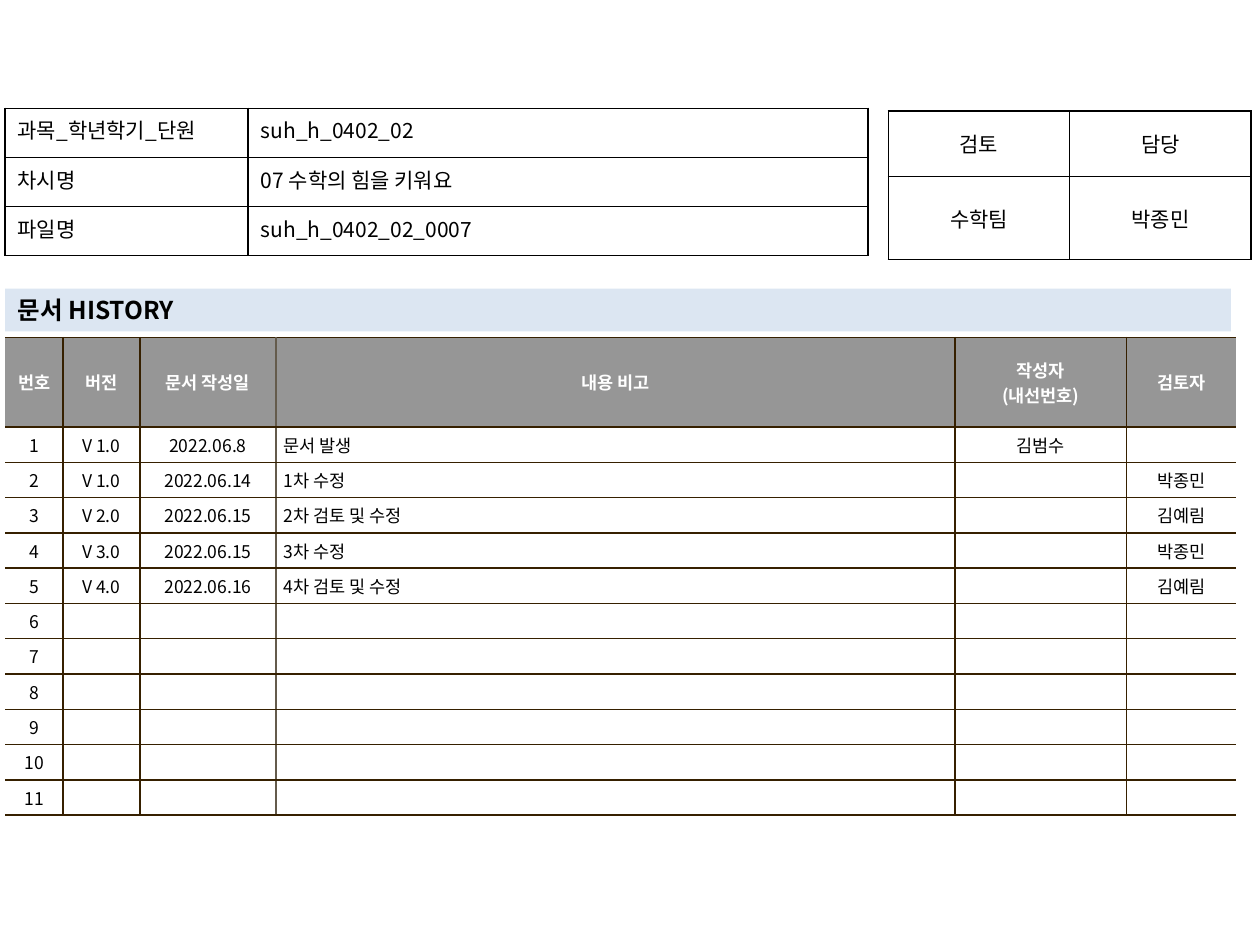
import pptx
import pptx.util
import pptx.dml.color
import pptx.enum.text
from lxml import etree

FONT = "Noto Sans CJK KR"
BLACK, WHITE, GRAY, BLUE = "000000", "FFFFFF", "969696", "DCE6F2"
BROWN, TAUPE = "362000", "645B4C"
SEAM = 3
EDGE = 0.04
ALIGN = pptx.enum.text.PP_ALIGN
MIDDLE = pptx.enum.text.MSO_ANCHOR.MIDDLE
TOP = pptx.enum.text.MSO_ANCHOR.TOP
Inches = pptx.util.Inches

TITLE = "문서 HISTORY"
INFO = [
    ("과목_학년학기_단원", "suh_h_0402_02"),
    ("차시명", "07 수학의 힘을 키워요"),
    ("파일명", "suh_h_0402_02_0007"),
]
TEAM = [("검토", "담당"), ("수학팀", "박종민")]
HEAD = ("번호", "버전", "문서 작성일", "내용 비고", "작성자\n(내선번호)", "검토자")
EDITS = [
    ("V 1.0", "2022.06.8", "문서 발생", "김범수", ""),
    ("V 1.0", "2022.06.14", "1차 수정", "", "박종민"),
    ("V 2.0", "2022.06.15", "2차 검토 및 수정", "", "김예림"),
    ("V 3.0", "2022.06.15", "3차 수정", "", "박종민"),
    ("V 4.0", "2022.06.16", "4차 검토 및 수정", "", "김예림"),
]
COUNT = 11
BLANK = [("",) * 5] * (COUNT - len(EDITS))
LOG = [HEAD] + [(str(n), *row) for n, row in enumerate(EDITS + BLANK, 1)]


def color(code):
    return pptx.dml.color.RGBColor.from_string(code)


def add(parent, tag, **attrs):
    return etree.SubElement(parent, pptx.oxml.ns.qn(tag), **attrs)


def style(frame, size, tone=BLACK, bold=False, align=ALIGN.LEFT):
    for para in frame.paragraphs:
        para.alignment = align
        for run in para.runs:
            font = run.font
            font.name, font.size, font.bold = FONT, pptx.util.Pt(size), bold
            font.color.rgb = color(tone)
            add(font._element, "a:ea", typeface=FONT)
        if not para.runs:
            add(para._p, "a:endParaRPr", sz=str(size * 100))


def border(cell, tones):
    props = cell._tc.get_or_add_tcPr()
    for i, (side, tone) in enumerate(zip("LRTB", tones)):
        line = add(props, f"a:ln{side}", w="12700")
        if tone:
            add(add(line, "a:solidFill"), "a:srgbClr", val=tone)
        else:
            add(line, "a:noFill")
        props.insert(i, line)


def grid(slide, left, top, cols, rows, data, pad):
    frame = slide.shapes.add_table(
        len(rows), len(cols), Inches(left), Inches(top),
        Inches(sum(cols)), Inches(sum(rows)))
    table = frame.table
    table.first_row = table.horz_banding = False
    for col, width in zip(table.columns, cols):
        col.width = Inches(width)
    for r, (row, height) in enumerate(zip(table.rows, rows)):
        row.height = Inches(height)
        for c, cell in enumerate(row.cells):
            cell.margin_left = cell.margin_right = Inches(pad[0])
            cell.margin_top = cell.margin_bottom = Inches(pad[1])
            cell.text_frame.text = data[r][c]
            yield r, c, cell


def form(slide, left, top, cols, rows, data, anchor, aligns):
    for r, c, cell in grid(slide, left, top, cols, rows, data, (0.1, 0.05)):
        cell.vertical_anchor = anchor
        style(cell.text_frame, 12, align=aligns[c])
        cell.fill.background()
        border(cell, [BLACK] * 4)


def history(slide):
    cols = [0.46, 0.61, 1.08, 5.39, 1.36, 0.87]
    rows = [0.71] + [0.25] * COUNT
    walls = [BROWN] * (len(cols) + 1)
    walls[0] = walls[-1] = None
    walls[SEAM] = TAUPE
    for r, c, cell in grid(slide, EDGE, 2.68, cols, rows, LOG, (0.06, 0.04)):
        head = r == 0
        note = c == SEAM and not head
        cell.vertical_anchor = MIDDLE
        style(cell.text_frame, 10, WHITE if head else BLACK, head,
              ALIGN.LEFT if note else ALIGN.CENTER)
        cell.fill.solid()
        cell.fill.fore_color.rgb = color(GRAY if head else WHITE)
        border(cell, (walls[c], walls[c + 1], BROWN, BROWN))


def banner(slide):
    title = slide.shapes.title
    title.left, title.top = Inches(EDGE), Inches(2.29)
    title.width, title.height = Inches(9.73), Inches(0.34)
    title.fill.solid()
    title.fill.fore_color.rgb = color(BLUE)
    frame = title.text_frame
    frame.text = TITLE
    frame.word_wrap = True
    frame.auto_size = pptx.enum.text.MSO_AUTO_SIZE.NONE
    frame.vertical_anchor = MIDDLE
    style(frame, 14, bold=True)


def main():
    deck = pptx.Presentation()
    deck.slide_width, deck.slide_height = Inches(10), Inches(7.5)
    slide = deck.slides.add_slide(deck.slide_layouts.get_by_name("Title Only"))
    banner(slide)
    history(slide)
    form(slide, 7.05, 0.88, [1.44] * 2, [0.52, 0.66], TEAM,
         MIDDLE, [ALIGN.CENTER] * 2)
    form(slide, EDGE, 0.86, [1.93, 4.92], [0.39] * 3, INFO,
         TOP, [ALIGN.JUSTIFY, ALIGN.LEFT])
    deck.save("out.pptx")


if __name__ == "__main__":
    main()
